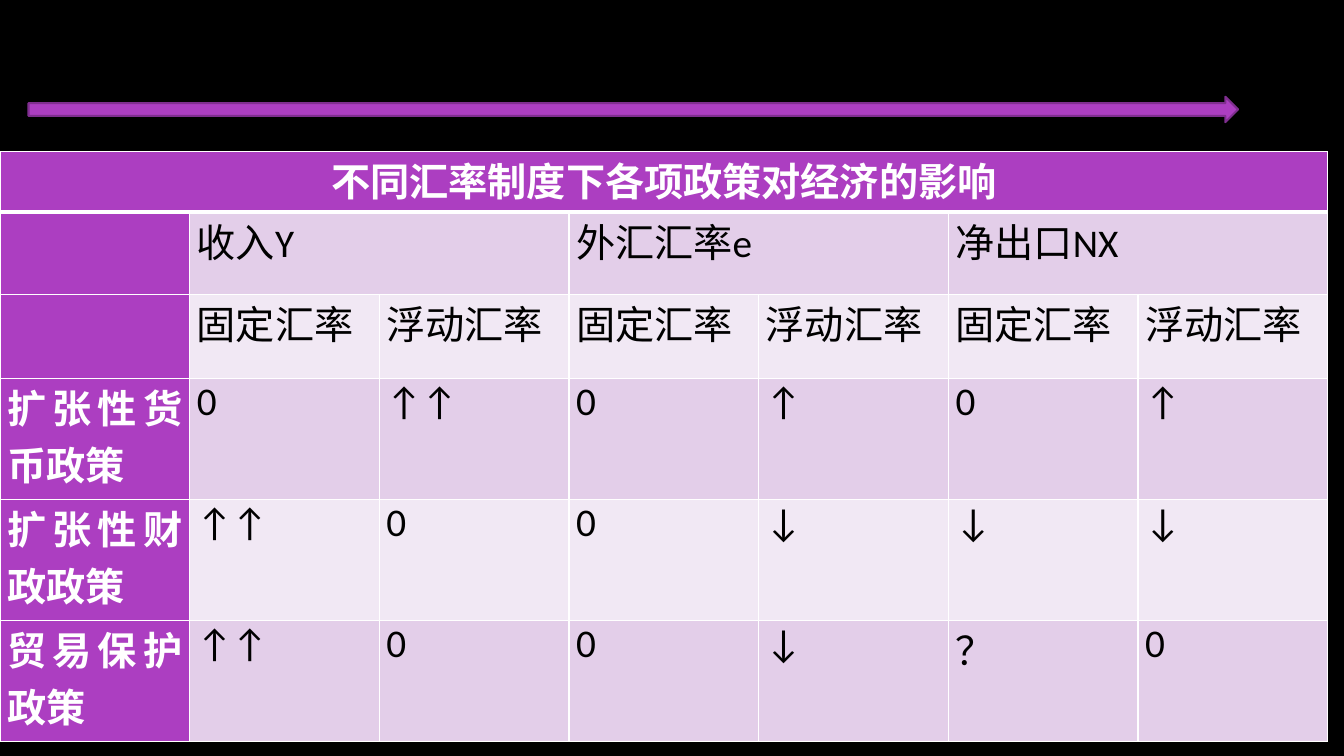
from lxml.etree import SubElement
from pptx import Presentation
from pptx.dml.color import RGBColor
from pptx.enum.shapes import MSO_SHAPE as Shape
from pptx.enum.text import PP_ALIGN as Align
from pptx.oxml.ns import qn
from pptx.util import Cm, Pt

BLACK = RGBColor(0x00, 0x00, 0x00)
WHITE = RGBColor(0xFF, 0xFF, 0xFF)
PURPLE = RGBColor(0xAC, 0x3E, 0xC1)
PLUM = RGBColor(0x7F, 0x2E, 0x8F)
LILAC = RGBColor(0xE3, 0xCE, 0xE9)
PALE = RGBColor(0xF1, 0xE8, 0xF4)

TITLE = "不同汇率制度下各项政策对经济的影响"
GROUPS = ["收入Y", "外汇汇率e", "净出口NX"]
RATES = ["固定汇率", "浮动汇率"]
EFFECTS = [
    ["扩张性货币政策", "0", "↑↑", "0", "↑", "0", "↑"],
    ["扩张性财政政策", "↑↑", "0", "0", "↓", "↓", "↓"],
    ["贸易保护政策", "↑↑", "0", "0", "↓", "？", "0"],
]
HEIGHTS = [1.52, 2.08, 2.11, 3.05, 3.05, 3.05]
WIDTH = 4.78


class Deck:
    """Holds the style and the current slide, and draws its elements."""

    def __init__(self, font, size):
        self.font, self.size = font, Pt(size)
        self.show = Presentation()
        self.show.slide_width, self.show.slide_height = Cm(33.87), Cm(19.05)
        self.slide = self.show.slides.add_slide(self.show.slide_layouts[6])
        back = self.slide.background.fill
        back.solid()
        back.fore_color.rgb = BLACK

    def arrow(self, left, top, width, height):
        shape = self.slide.shapes.add_shape(
            Shape.RIGHT_ARROW, Cm(left), Cm(top), Cm(width), Cm(height))
        shape.shadow.inherit = False
        shape.fill.solid()
        shape.fill.fore_color.rgb = PURPLE
        shape.line.color.rgb = PLUM
        shape.line.width = Pt(1.5)

    def edge(self, cell, side, width):
        line = SubElement(cell._tc.get_or_add_tcPr(), qn(f"a:ln{side}"), w=str(Pt(width)))
        fill = SubElement(line, qn("a:solidFill"))
        SubElement(fill, qn("a:srgbClr"), val=str(WHITE))

    def cell(self, cell, text, row, col):
        head = row == 0 or col == 0
        widths = {"L": 1, "R": 1, "T": 3 if row == 1 else 1, "B": 3 if row == 0 else 1}
        for side, width in widths.items():
            self.edge(cell, side, width)
        cell.fill.solid()
        cell.fill.fore_color.rgb = PURPLE if head else LILAC if row % 2 else PALE
        cell.margin_left = cell.margin_right = Cm(0.18)
        cell.margin_top = cell.margin_bottom = 0
        if text:
            cell.text = text
            para = cell.text_frame.paragraphs[0]
            para.alignment = Align.JUSTIFY if row else Align.CENTER
            font = para.font
            font.name, font.size, font.bold = self.font, self.size, head
            font.color.rgb = WHITE if head else BLACK

    def table(self, rows, left, top, width, heights, spans):
        count = len(rows[0])
        grid = self.slide.shapes.add_table(
            len(rows), count, Cm(left), Cm(top), Cm(width * count), Cm(sum(heights))).table
        for col in grid.columns:
            col.width = Cm(width)
        for row, height in zip(grid.rows, heights):
            row.height = Cm(height)
        for r, row in enumerate(rows):
            for c, text in enumerate(row):
                self.cell(grid.cell(r, c), text, r, c)
        for row, first, last in spans:
            grid.cell(row, first).merge(grid.cell(row, last))

    def save(self):
        self.show.save("out.pptx")


def main():
    deck = Deck("Calibri", 28)
    deck.arrow(0.72, 2.44, 30.48, 0.64)
    groups = [text for name in GROUPS for text in (name, "")]
    rows = [[TITLE] + [""] * 6, [""] + groups, [""] + RATES * 3] + EFFECTS
    spans = [(0, 0, 6)] + [(1, col, col + 1) for col in (1, 3, 5)]
    deck.table(rows, 0, 3.82, WIDTH, HEIGHTS, spans)
    deck.save()


if __name__ == "__main__":
    main()
